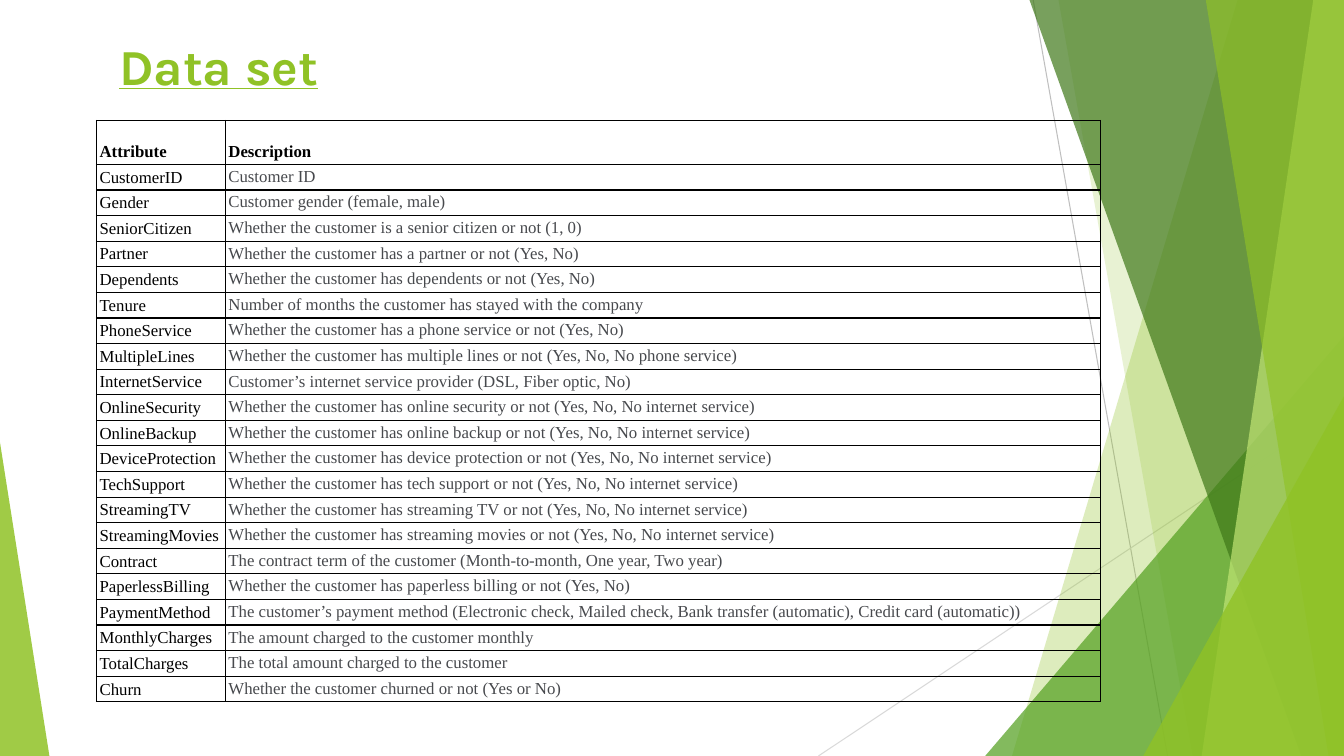
from lxml.etree import SubElement
from pptx import Presentation
from pptx.dml.color import RGBColor
from pptx.enum.shapes import MSO_CONNECTOR, MSO_SHAPE
from pptx.enum.text import MSO_ANCHOR, PP_ALIGN
from pptx.oxml.ns import qn
from pptx.util import Pt

WIDTH, HEIGHT = 960, 540
BLACK, GREY, GREEN = "000000", "47494D", "90C226"


def paint(color_format, color):
    color_format.rgb = RGBColor.from_string(color)


def fill_facet(facet, color, opacity):
    """Give a background shape a see-through fill with no outline or shadow."""
    facet.shadow.inherit = False
    facet.fill.solid()
    paint(facet.fill.fore_color, color)
    rgb = facet.element.find(".//" + qn("a:srgbClr"))
    SubElement(rgb, qn("a:alpha"), val=str(opacity * 1000))
    facet.line.fill.background()


deck = Presentation()
deck.slide_width, deck.slide_height = Pt(WIDTH), Pt(HEIGHT)
slide = deck.slides.add_slide(deck.slide_layouts[5])
shapes = slide.shapes

# Thin background lines: start, end, colour
for x1, y1, x2, y2, color in [
    (738, 0, 834, HEIGHT, "BFBFBF"),
    (WIDTH, 290, 584.6, HEIGHT, "D9D9D9"),
]:
    ray = shapes.add_connector(MSO_CONNECTOR.STRAIGHT, Pt(x1), Pt(y1), Pt(x2), Pt(y2))
    paint(ray.line.color, color)
    ray.line.width = Pt(0.75)
    SubElement(ray.element.spPr, qn("a:effectLst"))

# Bands reach the right edge: x of left side at top and bottom.
# Triangles stand on the bottom edge: left, top, width, apex position.
facets = [
    ("band", (884.2, 722.9), GREEN, 30),
    ("band", (756, 851.8), GREEN, 20),
    ("triangle", (703.7, 240, 256.3, 1), "54A021", 72),
    ("band", (735.2, 929.5), "3F7819", 70),
    ("band", (938.2, 858.4), "C0E474", 70),
    ("band", (861.2, 949), GREEN, 65),
    ("triangle", (816.6, 283, 143.4, 1), GREEN, 80),
    ("triangle", (0, 316.1, 35.3, 0), GREEN, 85),
]
for kind, geometry, color, opacity in facets:
    if kind == "band":
        top_x, bottom_x = geometry
        outline = shapes.build_freeform(Pt(top_x), Pt(-0.5))
        outline.add_line_segments(
            [(Pt(WIDTH), Pt(-0.5)), (Pt(WIDTH), Pt(HEIGHT)), (Pt(bottom_x), Pt(HEIGHT))])
        facet = outline.convert_to_shape()
    else:
        left, top, width, apex = geometry
        facet = shapes.add_shape(
            MSO_SHAPE.ISOSCELES_TRIANGLE, Pt(left), Pt(top), Pt(width), Pt(HEIGHT - top))
        facet.adjustments[0] = apex
    fill_facet(facet, color, opacity)

title = shapes.title
shapes.element.append(title.element)  # in front of the background
title.left, title.top, title.width, title.height = Pt(77.8), Pt(18), Pt(216.7), Pt(56.9)
title.text_frame.text = "Data set"
title.text_frame.vertical_anchor = MSO_ANCHOR.MIDDLE
heading = title.text_frame.paragraphs[0]
heading.alignment = PP_ALIGN.LEFT
heading_font = heading.runs[0].font
for attribute, value in {"name": "Karla", "size": Pt(36), "bold": True, "underline": True}.items():
    setattr(heading_font, attribute, value)
paint(heading_font.color, GREEN)

attributes = [
    ("Attribute", "Description"),
    ("CustomerID", "Customer ID"),
    ("Gender", "Customer gender (female, male)"),
    ("SeniorCitizen", "Whether the customer is a senior citizen or not (1, 0)"),
    ("Partner", "Whether the customer has a partner or not (Yes, No)"),
    ("Dependents", "Whether the customer has dependents or not (Yes, No)"),
    ("Tenure", "Number of months the customer has stayed with the company"),
    ("PhoneService", "Whether the customer has a phone service or not (Yes, No)"),
    ("MultipleLines", "Whether the customer has multiple lines or not (Yes, No, No phone service)"),
    ("InternetService", "Customer’s internet service provider (DSL, Fiber optic, No)"),
    ("OnlineSecurity", "Whether the customer has online security or not (Yes, No, No internet service)"),
    ("OnlineBackup", "Whether the customer has online backup or not (Yes, No, No internet service)"),
    ("DeviceProtection", "Whether the customer has device protection or not (Yes, No, No internet service)"),
    ("TechSupport", "Whether the customer has tech support or not (Yes, No, No internet service)"),
    ("StreamingTV", "Whether the customer has streaming TV or not (Yes, No, No internet service)"),
    ("StreamingMovies", "Whether the customer has streaming movies or not (Yes, No, No internet service)"),
    ("Contract", "The contract term of the customer (Month-to-month, One year, Two year)"),
    ("PaperlessBilling", "Whether the customer has paperless billing or not (Yes, No)"),
    ("PaymentMethod", "The customer’s payment method (Electronic check, Mailed check, "
                      "Bank transfer (automatic), Credit card (automatic))"),
    ("MonthlyCharges", "The amount charged to the customer monthly"),
    ("TotalCharges", "The total amount charged to the customer"),
    ("Churn", "Whether the customer churned or not (Yes or No)"),
]
column_widths = (92, 625)
header_height, row_height = 31.4, 18.3
table = shapes.add_table(
    len(attributes), 2, Pt(69), Pt(86), Pt(sum(column_widths)),
    Pt(header_height + row_height * (len(attributes) - 1))).table
table.first_row = table.horz_banding = False
for column, width in zip(table.columns, column_widths):
    column.width = Pt(width)

cell_margins = {"margin_left": 2.2, "margin_right": 2.2, "margin_top": 2.2, "margin_bottom": 2.2}
for row, texts in enumerate(attributes):
    is_header = row == 0
    table.rows[row].height = Pt(header_height if is_header else row_height)
    for col, text in enumerate(texts):
        is_description = col == 1 and not is_header
        cell = table.cell(row, col)
        for side, margin in cell_margins.items():
            setattr(cell, side, Pt(margin))
        cell.vertical_anchor = MSO_ANCHOR.TOP if is_description else MSO_ANCHOR.BOTTOM
        cell.text = text
        entry = cell.text_frame.paragraphs[0]
        entry.alignment = PP_ALIGN.JUSTIFY
        entry_font = entry.runs[0].font
        for attribute, value in {"name": "Times New Roman", "size": Pt(12), "bold": is_header}.items():
            setattr(entry_font, attribute, value)
        paint(entry_font.color, GREY if is_description else BLACK)
        properties = cell.text_frame._txBody.getparent().find(qn("a:tcPr"))
        for edge in ("a:lnL", "a:lnR", "a:lnT", "a:lnB"):
            border = SubElement(properties, qn(edge), w=str(Pt(1)))
            SubElement(SubElement(border, qn("a:solidFill")), qn("a:srgbClr"), val=BLACK)
        cell.fill.background()

deck.save("out.pptx")
